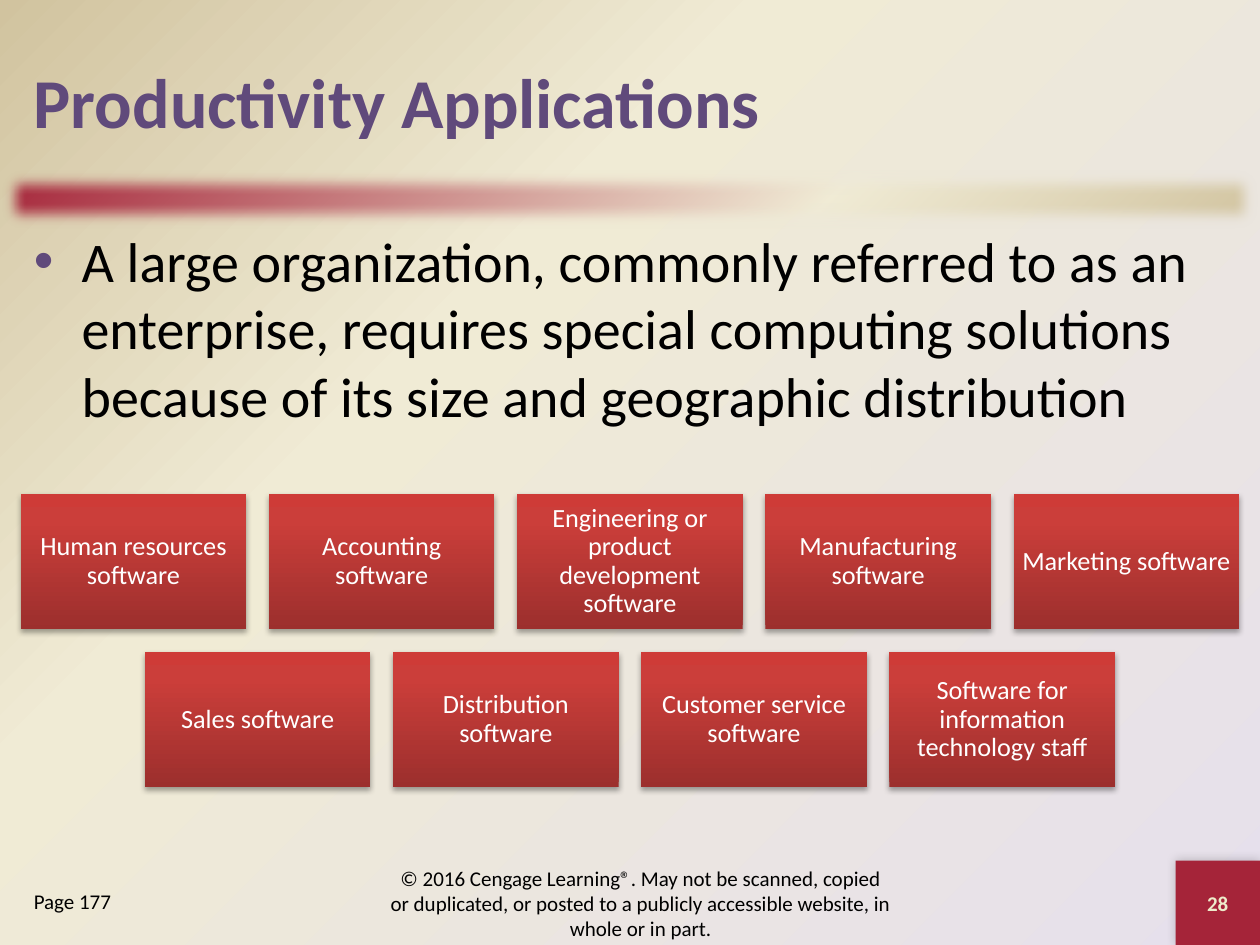
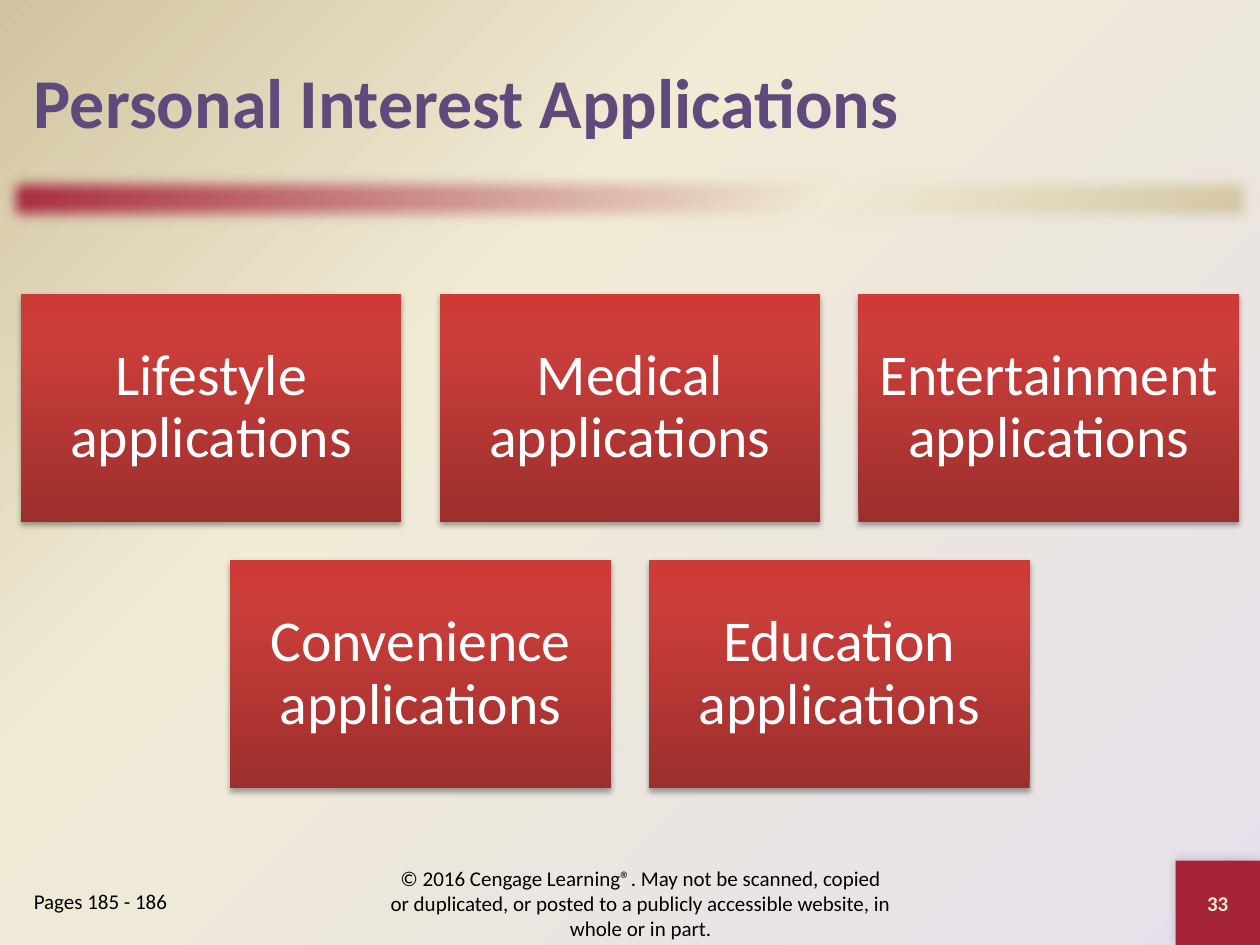
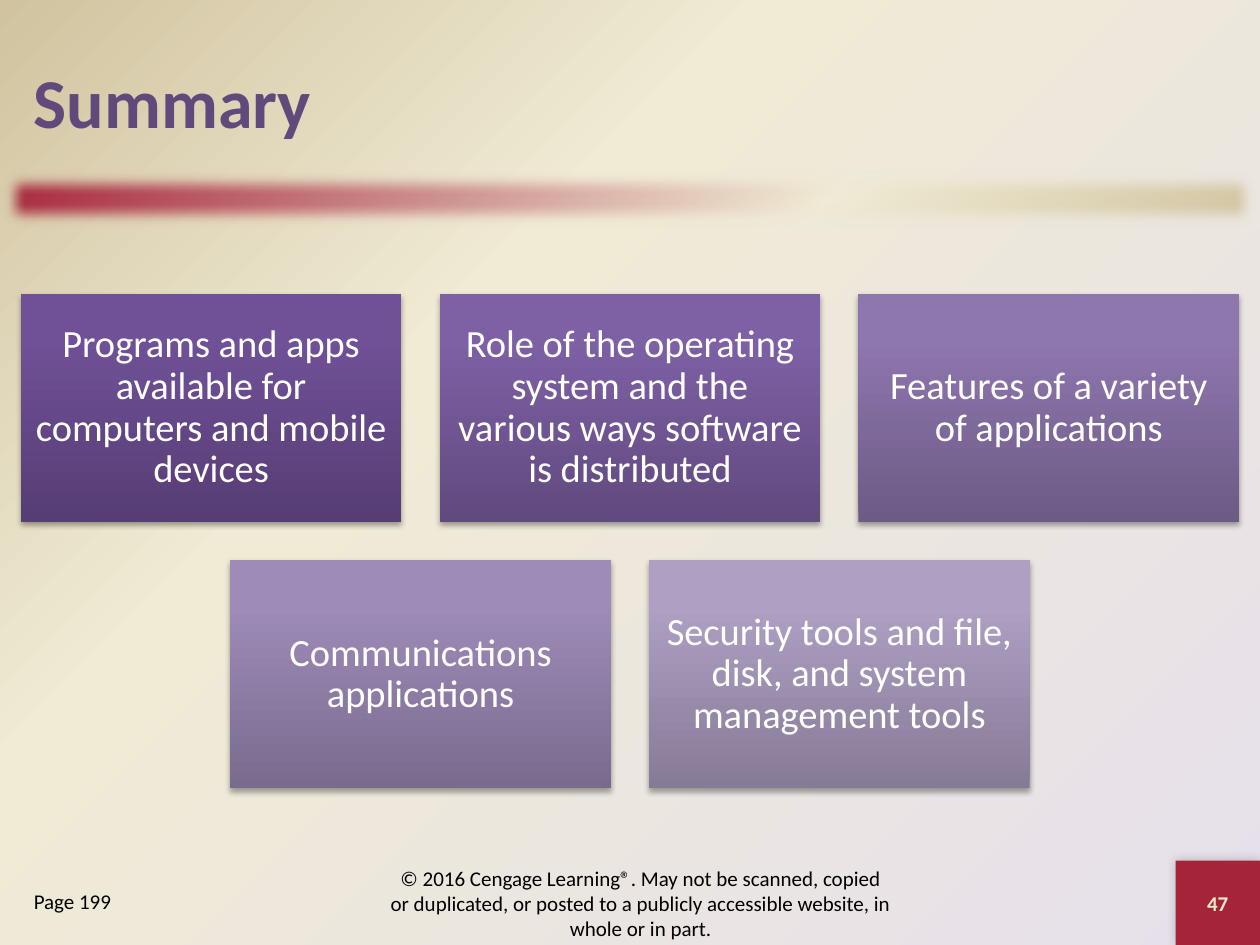
"""Build three application slides with a shared title band, tile grid and footer."""
from pptx import Presentation
from pptx import util as u
from pptx.dml.color import RGBColor
from pptx.enum import shapes, text
from pptx.oxml import parse_xml
from pptx.oxml.ns import nsdecls, qn

FONT = "Calibri"
PURPLE = RGBColor(0x60, 0x4A, 0x7B)
CRIMSON = RGBColor(0xA5, 0x24, 0x39)
CREAM = RGBColor(0xF0, 0xEB, 0xD5)
SAND = RGBColor(0xD1, 0xC3, 0x9F)
LILAC = RGBColor(0xE6, 0xE0, 0xEC)
NUMBER_COLOR = RGBColor(0xEE, 0xEB, 0xCA)
BLACK = RGBColor(0, 0, 0)
WHITE = RGBColor(0xFF, 0xFF, 0xFF)
RED_TILE = [RGBColor(0x9C, 0x2F, 0x2D), RGBColor(0xCB, 0x3E, 0x3A), RGBColor(0xCE, 0x3B, 0x37)]
PURPLE_TILES = [
    [RGBColor(0x56, 0x3D, 0x74), RGBColor(0x70, 0x50, 0x97), RGBColor(0x70, 0x4F, 0x99)],
    [RGBColor(0x61, 0x4A, 0x7F), RGBColor(0x7E, 0x60, 0xA5), RGBColor(0x7F, 0x60, 0xA7)],
    [RGBColor(0x6D, 0x5B, 0x86), RGBColor(0x8E, 0x76, 0xAE), RGBColor(0x8E, 0x75, 0xB0)],
    [RGBColor(0x79, 0x6B, 0x8E), RGBColor(0x9E, 0x8B, 0xB8), RGBColor(0x9E, 0x8B, 0xBA)],
    [RGBColor(0x86, 0x7B, 0x96), RGBColor(0xAE, 0x9F, 0xC3), RGBColor(0xAE, 0x9F, 0xC4)],
]

CORNER = ('<a:path path="circle"><a:fillToRect l="100000" t="100000"/></a:path>'
          '<a:tileRect r="-100000" b="-100000"/>')
DIAGONAL = '<a:lin ang="2700000" scaled="0"/>'
UPWARD = '<a:lin ang="16200000" scaled="0"/>'
SHADOW = ('<a:outerShdw %s blurRad="{}" dist="{}" dir="{}" algn="ctr" rotWithShape="0">'
          '<a:srgbClr val="000000"><a:alpha val="{}"/></a:srgbClr></a:outerShdw>' % nsdecls("a"))
TILE_SHADOW = SHADOW.format(40000, 23000, 5400000, 35000)
NUMBER_SHADOW = SHADOW.format(76200, 0, 13500000, 20000)
SOFT_EDGE = '<a:softEdge %s rad="112500"/>' % nsdecls("a")

COPYRIGHT = ("© 2016 Cengage Learning®. May not be scanned, copied or duplicated, "
             "or posted to a publicly accessible website, in whole or in part.")
GRID_WIDTH = 9.67
SLIDES = [
    {"title": "Productivity Applications", "number": "28", "page": "Page 177",
     "body": "A large organization, commonly referred to as an enterprise, requires special "
             "computing solutions because of its size and geographic distribution",
     "columns": 5, "top": 3.92, "size": 15, "inset": 0.06, "fills": [RED_TILE] * 9,
     "tiles": ["Human resources software", "Accounting software",
               "Engineering or product development software", "Manufacturing software",
               "Marketing software", "Sales software", "Distribution software",
               "Customer service software", "Software for information technology staff"]},
    {"title": "Personal Interest Applications", "number": "33", "page": "Pages 185 - 186",
     "columns": 3, "top": 2.33, "size": 33, "inset": 0.14, "fills": [RED_TILE] * 5,
     "tiles": ["Lifestyle applications", "Medical applications", "Entertainment applications",
               "Convenience applications", "Education applications"]},
    {"title": "Summary", "number": "47", "page": "Page 199",
     "columns": 3, "top": 2.33, "size": 22, "inset": 0.09, "fills": PURPLE_TILES,
     "tiles": ["Programs and apps available for computers and mobile devices",
               "Role of the operating system and the various ways software is distributed",
               "Features of a variety of applications", "Communications applications",
               "Security tools and file, disk, and system management tools"]},
]


def paint_gradient(fill, element, colors, middle, direction):
    fill.solid()
    stops = "".join(f'<a:gs pos="{position * 1000}"><a:srgbClr val="{color}"/></a:gs>'
                    for position, color in zip((0, middle, 100), colors))
    solid = next(element.iter(qn("a:solidFill")))
    solid.getparent().replace(solid, parse_xml(
        f'<a:gradFill {nsdecls("a")} rotWithShape="1"><a:gsLst>{stops}</a:gsLst>'
        f'{direction}</a:gradFill>'))


def write(shape, words, size, color, bold=False, centered=False, middle=True):
    frame = shape.text_frame
    frame.word_wrap = True
    frame.vertical_anchor = text.MSO_ANCHOR.MIDDLE if middle else text.MSO_ANCHOR.TOP
    frame.text = words
    paragraph = frame.paragraphs[0]
    paragraph.alignment = text.PP_ALIGN.CENTER if centered else text.PP_ALIGN.LEFT
    font = paragraph.runs[0].font
    font.name, font.size, font.bold = FONT, u.Pt(size), bold
    font.color.rgb = color
    return paragraph


presentation = Presentation()
presentation.slide_width, presentation.slide_height = u.Inches(10), u.Inches(7.5)
master = presentation.slide_master
paint_gradient(master.background.fill, master.element.find(".//" + qn("p:bgPr")),
               [LILAC, CREAM, SAND], 65, CORNER)

for content in SLIDES:
    slide = presentation.slides.add_slide(presentation.slide_layouts[6])
    rectangle = shapes.MSO_SHAPE.RECTANGLE

    band = slide.shapes.add_shape(rectangle, 0, u.Inches(1.33), u.Inches(10), u.Inches(0.5))
    paint_gradient(band.fill, band.element, [CRIMSON, CREAM, SAND], 65, DIAGONAL)
    number = slide.shapes.add_shape(rectangle, u.Inches(9.33), u.Inches(6.83),
                                    u.Inches(0.67), u.Inches(0.67))
    number.fill.solid()
    number.fill.fore_color.rgb = CRIMSON
    write(number, content["number"], 12, NUMBER_COLOR, bold=True, centered=True)
    effects = [(band, SOFT_EDGE), (number, NUMBER_SHADOW)]

    title = slide.shapes.add_textbox(u.Inches(0.17), u.Inches(0.17), u.Inches(9.67), u.Inches(1.25))
    write(title, content["title"], 40, PURPLE, bold=True)

    if "body" in content:
        body = slide.shapes.add_textbox(u.Inches(0.17), u.Inches(1.75),
                                        u.Inches(9.67), u.Inches(2))
        properties = write(body, content["body"], 32, BLACK, middle=False)._p.get_or_add_pPr()
        properties.set("marL", str(u.Inches(0.38)))
        properties.set("indent", str(u.Inches(-0.38)))
        for bullet in (f'<a:buClr {nsdecls("a")}><a:srgbClr val="{PURPLE}"/></a:buClr>',
                       f'<a:buFont {nsdecls("a")} typeface="Arial"/>',
                       f'<a:buChar {nsdecls("a")} char="•"/>'):
            properties.append(parse_xml(bullet))

    columns = content["columns"]
    width = GRID_WIDTH / (columns + 0.1 * (columns - 1))
    gap, height = 0.1 * width, 0.6 * width
    for index, (words, colors) in enumerate(zip(content["tiles"], content["fills"])):
        row, column = divmod(index, columns)
        in_row = min(columns, len(content["tiles"]) - row * columns)
        left = (10 - in_row * width - (in_row - 1) * gap) / 2 + column * (width + gap)
        tile = slide.shapes.add_shape(rectangle, u.Inches(left),
                                      u.Inches(content["top"] + row * (height + gap)),
                                      u.Inches(width), u.Inches(height))
        paint_gradient(tile.fill, tile.element, colors, 80, UPWARD)
        frame = tile.text_frame
        frame.margin_left = frame.margin_right = u.Inches(content["inset"])
        frame.margin_top = frame.margin_bottom = u.Inches(content["inset"])
        write(tile, words, content["size"], WHITE, centered=True).line_spacing = 0.9
        effects.append((tile, TILE_SHADOW))

    for shape, effect in effects:
        shape.line.fill.background()
        shape.shadow.inherit = False
        shape.element.spPr.find(qn("a:effectLst")).append(parse_xml(effect))

    page = slide.shapes.add_textbox(u.Inches(0.17), u.Inches(7), u.Inches(1.83), u.Inches(0.5))
    write(page, content["page"], 12, BLACK, middle=False)
    footer = slide.shapes.add_textbox(u.Inches(3), u.Inches(6.92), u.Inches(4.17), u.Inches(0.5))
    write(footer, COPYRIGHT, 12, BLACK, centered=True)

presentation.save("out.pptx")
